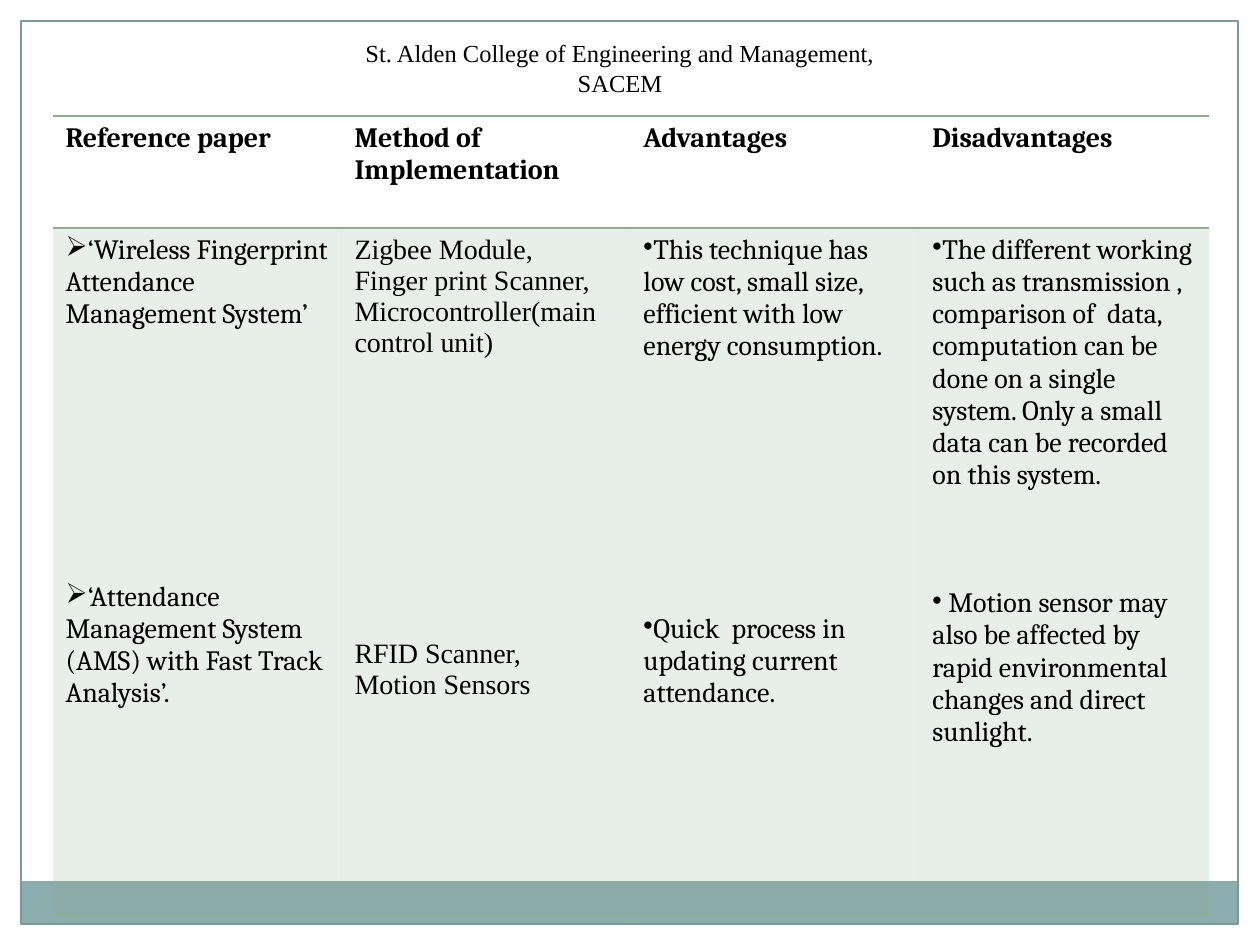
from lxml.etree import SubElement
from pptx import Presentation
from pptx.dml.color import RGBColor
from pptx.enum.shapes import MSO_SHAPE
from pptx.enum.text import PP_ALIGN
from pptx.oxml.ns import qn
from pptx.util import Emu, Pt

COLORS = {"white": "FFFFFF", "black": "000000", "bar": "8CADAE",
          "frame": "7C999A", "green": "8FB08C"}
SERIF, TIMES = "Cambria", "Times New Roman"

HEADERS = ["Reference paper", "Method of Implementation", "Advantages", "Disadvantages"]
COLUMNS = [
    (SERIF, [("➢", "‘Wireless Fingerprint Attendance", 0),
             ("", "Management System’", 0),
             ("➢", "‘Attendance Management System (AMS) with Fast Track Analysis’.", 143)]),
    (TIMES, [("", "Zigbee Module,", 0),
             ("", "Finger print Scanner,", 0),
             ("", "Microcontroller(main control unit)", 0),
             ("", "RFID Scanner,", 160),
             ("", "Motion Sensors", 0)]),
    (SERIF, [("•", "This technique has  low cost, small size, efficient with low "
                   "energy consumption.", 0),
             ("•", "Quick  process in updating current attendance.", 143)]),
    (SERIF, [("•", "The different working such as transmission , comparison of  data, "
                   "computation can be done on a single system. Only a small data can "
                   "be recorded on this system.", 0),
             ("•", " Motion sensor may also be affected by rapid environmental changes "
                   "and direct sunlight.", 55)]),
]


def px(n):
    return Emu(round(n * 914400 / 126))


def rgb(name):
    return RGBColor.from_string(COLORS[name])


class SlideBuilder:
    def __init__(self, slide):
        self.s = slide

    def style(self, p, font, size, bold=False):
        for r in p.runs:
            r.font.name = font
            r.font.size = Pt(size)
            r.font.bold = bold
            r.font.color.rgb = rgb("black")

    def rect(self, x, y, w, h, fill=None, line=None):
        sp = self.s.shapes.add_shape(MSO_SHAPE.RECTANGLE, px(x), px(y), px(w), px(h))
        sp.shadow.inherit = False
        if fill:
            sp.fill.solid()
            sp.fill.fore_color.rgb = rgb(fill)
        else:
            sp.fill.background()
        if line:
            sp.line.color.rgb = rgb(line)
            sp.line.width = Pt(0.75)
        else:
            sp.line.fill.background()

    def text(self, x, y, w, h, text, font, size):
        tf = self.s.shapes.add_textbox(px(x), px(y), px(w), px(h)).text_frame
        tf.word_wrap = False
        tf.text = text
        p = tf.paragraphs[0]
        p.alignment = PP_ALIGN.CENTER
        self.style(p, font, size)

    def borders(self, cell, sides):
        tcPr = cell._tc.get_or_add_tcPr()
        for side in "LRTB":
            ln = SubElement(tcPr, qn(f"a:ln{side}"), w=str(Pt(1)))
            if side in sides:
                fill = SubElement(ln, qn("a:solidFill"))
                SubElement(fill, qn("a:srgbClr"), val=COLORS["green"])
            else:
                SubElement(ln, qn("a:noFill"))

    def tint(self, cell, name, percent):
        cell.fill.solid()
        cell.fill.fore_color.rgb = rgb(name)
        color = cell._tc.tcPr.find(qn("a:solidFill")).find(qn("a:srgbClr"))
        SubElement(color, qn("a:alpha"), val=str(percent * 1000))

    def paragraphs(self, cell, font, items):
        tf = cell.text_frame
        tf.text = "\n".join(text for _, text, _ in items)
        for p, (bullet, _, gap) in zip(tf.paragraphs, items):
            p.space_before = Pt(gap)
            if bullet:
                pPr = p._p.get_or_add_pPr()
                pPr.set("marL", "0")
                pPr.set("indent", "0")
                SubElement(pPr, qn("a:buChar"), char=bullet)
            self.style(p, font, 16)

    def table(self, x, y, col_width, row_heights, headers, columns):
        table = self.s.shapes.add_table(
            len(row_heights), len(headers), px(x), px(y),
            px(col_width * len(headers)), px(sum(row_heights))).table
        table.horz_banding = False
        for row, height in zip(table.rows, row_heights):
            row.height = px(height)
        for i, (header, (font, items)) in enumerate(zip(headers, columns)):
            table.columns[i].width = px(col_width)
            head, body = table.cell(0, i), table.cell(1, i)
            self.borders(head, "TB")
            head.fill.background()
            head.text_frame.text = header
            self.style(head.text_frame.paragraphs[0], SERIF, 16, bold=True)
            self.borders(body, "TB")
            self.tint(body, "green", 20)
            self.paragraphs(body, font, items)


def main():
    prs = Presentation()
    prs.slide_width, prs.slide_height = px(1260), px(945)
    b = SlideBuilder(prs.slides.add_slide(prs.slide_layouts[6]))
    b.rect(0, 0, 1260, 21, fill="white")
    for x in (1239, 0):
        b.rect(x, 0, 21, 945, fill="white")
    b.rect(21, 881, 1217, 43, fill="bar")
    b.rect(21, 21, 1217, 903, line="frame")
    b.table(53, 116, 289, [112, 686], HEADERS, COLUMNS)
    b.text(315, 32, 610, 43, "St. Alden College of Engineering and Management, SACEM",
           TIMES, 14)
    prs.save("out.pptx")


if __name__ == "__main__":
    main()
